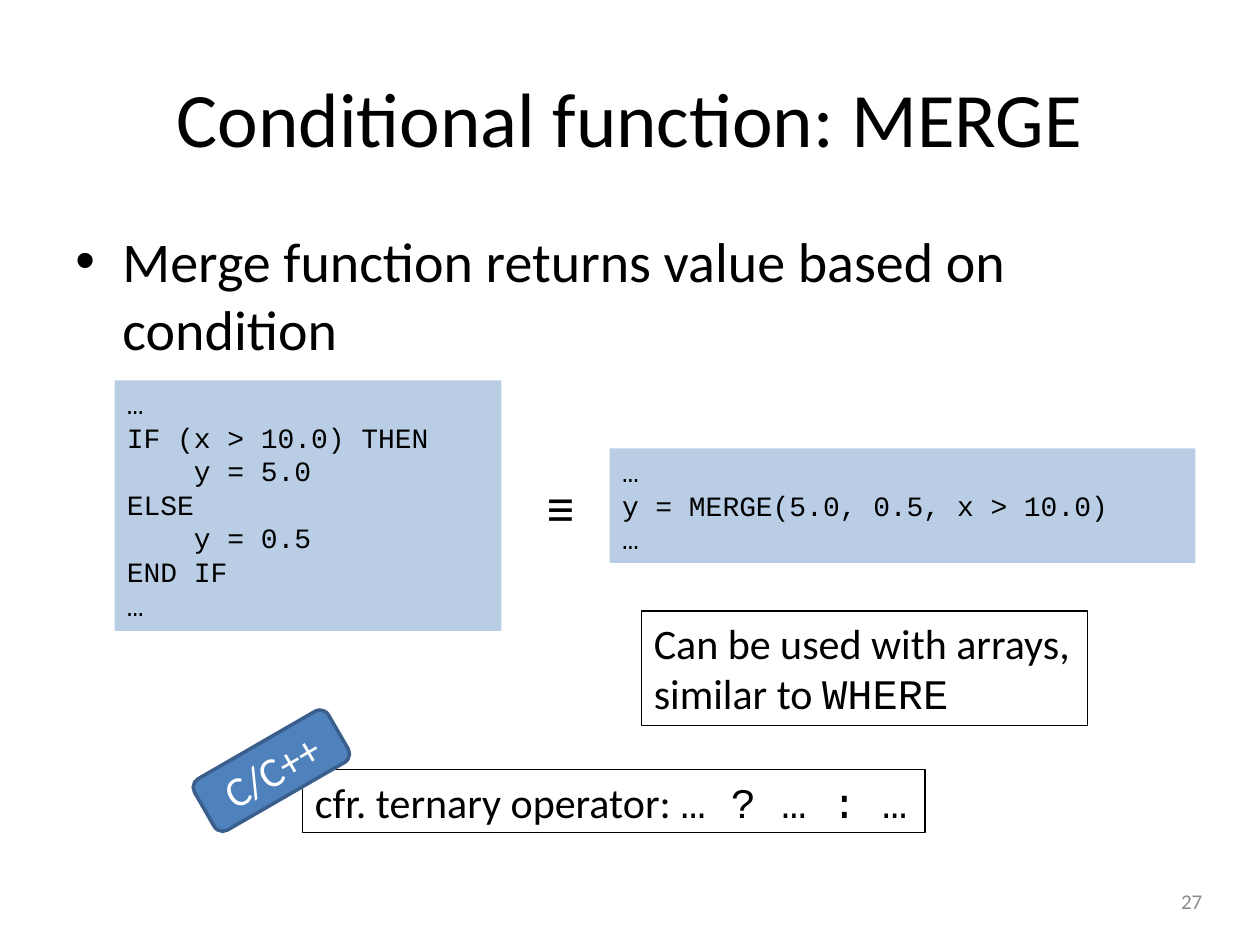
from pptx import Presentation
from pptx.dml.color import RGBColor
from pptx.enum.shapes import MSO_SHAPE
from pptx.enum.text import MSO_ANCHOR, MSO_AUTO_SIZE, PP_ALIGN
from pptx.oxml import parse_xml
from pptx.oxml.ns import nsdecls
from pptx.util import Cm, Pt

HEX = {"black": "000000", "white": "FFFFFF", "grey": "8C8C8C",
       "code": "B9CDE5", "badge": "4F81BD", "edge": "3A5F8C"}
SANS, MONO = "Calibri", "Courier New"

# Content: a paragraph is a list of (text, font) runs; "\n" is a line break
TITLE = [[("Conditional function: MERGE", SANS)]]
BODY = [[("Merge function returns value based on condition", SANS)]]
NUMBER = [[("27", SANS)]]
IF_CODE = [[(line, MONO)] for line in (
    "…", "IF (x > 10.0) THEN", "    y = 5.0", "ELSE", "    y = 0.5", "END IF", "…")]
MERGE_CODE = [[("…", MONO)],
              [("y = MERGE(5.0, 0.5, x > 10.0)", MONO), ("\n", MONO), ("…", MONO)]]
SAME = [[("≡", SANS)]]
ARRAYS = [[("Can be used with arrays,", SANS)],
          [("similar to ", SANS), ("WHERE", MONO)]]
TERNARY = [[("cfr. ternary operator: ", SANS), ("… ? … : …", MONO)]]
BADGE = [[("C/C++", SANS)]]


def color(name):
    return RGBColor.from_string(HEX[name])


def write(shape, paras, size, ink="black", align=PP_ALIGN.LEFT,
          anchor=MSO_ANCHOR.TOP, wrap=True, grow=False):
    frame = shape.text_frame
    frame.word_wrap = wrap
    frame.vertical_anchor = anchor
    frame.auto_size = MSO_AUTO_SIZE.SHAPE_TO_FIT_TEXT if grow else MSO_AUTO_SIZE.NONE
    for i, runs in enumerate(paras):
        para = frame.add_paragraph() if i else frame.paragraphs[0]
        para.alignment = align
        for text, face in runs:
            if text == "\n":
                para.add_line_break()
                continue
            run = para.add_run()
            run.text = text
            run.font.name = face
            run.font.size = Pt(size)
            run.font.color.rgb = color(ink)


def place(shape, at):
    shape.left, shape.top, shape.width, shape.height = map(Cm, at)


def label(at, paras, size, **style):
    box = slide.shapes.add_textbox(*map(Cm, at))
    write(box, paras, size, **style)
    return box


def panel(at, paras, size, fill=None, edge=None, width=0.75,
          kind=MSO_SHAPE.RECTANGLE, **style):
    box = slide.shapes.add_shape(kind, *map(Cm, at))
    box.shadow.inherit = False
    if fill:
        box.fill.solid()
        box.fill.fore_color.rgb = color(fill)
    else:
        box.fill.background()
    if edge:
        box.line.color.rgb = color(edge)
        box.line.width = Pt(width)
    else:
        box.line.fill.background()
    write(box, paras, size, **style)
    return box


deck = Presentation()
deck.slide_width, deck.slide_height = Cm(25.4), Cm(19.05)
slide = deck.slides.add_slide(deck.slide_layouts[5])

# Title
title = slide.shapes.title
place(title, (1.27, 0.76, 22.86, 3.18))
write(title, TITLE, 44, align=PP_ALIGN.CENTER, anchor=MSO_ANCHOR.MIDDLE)

# Bulleted statement
body = label((1.27, 4.45, 22.86, 12.57), BODY, 32)
props = body.text_frame.paragraphs[0]._p.get_or_add_pPr()
props.set("marL", str(Cm(0.95)))
props.set("indent", str(-Cm(0.95)))
props.append(parse_xml(f'<a:buFont {nsdecls("a")} typeface="Arial"/>'))
props.append(parse_xml(f'<a:buChar {nsdecls("a")} char="•"/>'))

# Slide number
label((18.57, 17.65, 5.92, 1.02), NUMBER, 12, ink="grey",
      align=PP_ALIGN.RIGHT, anchor=MSO_ANCHOR.MIDDLE)

# Ternary note with its tilted badge
panel((6.1, 15.52, 12.55, 1.27), TERNARY, 24, fill="white", edge="black",
      wrap=False, grow=True)
badge = panel((3.91, 14.94, 3.12, 1.19), BADGE, 24, fill="badge", edge="edge",
              width=2, kind=MSO_SHAPE.ROUNDED_RECTANGLE, ink="white",
              align=PP_ALIGN.CENTER, anchor=MSO_ANCHOR.MIDDLE)
badge.rotation = 330

# Equivalent code blocks
panel((2.31, 7.67, 7.8, 5.05), IF_CODE, 16, fill="code", grow=True)
panel((12.29, 9.04, 11.81, 2.31), MERGE_CODE, 16, fill="code", grow=True)
label((10.77, 9.4, 1.14, 1.63), SAME, 32, wrap=False, grow=True)

# Note on arrays
panel((12.93, 12.32, 8.99, 2.31), ARRAYS, 24, edge="black", wrap=False, grow=True)

deck.save("out.pptx")
